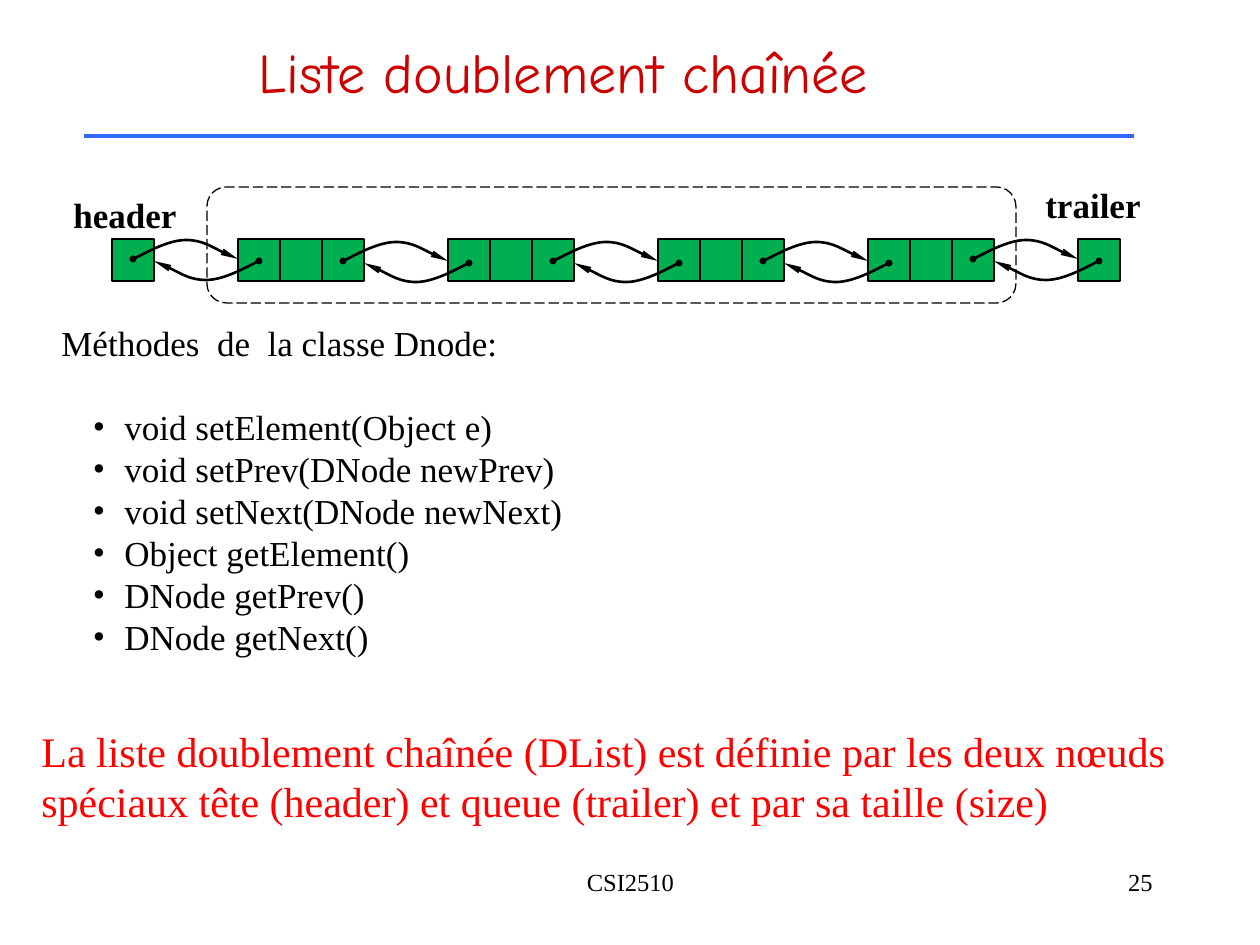
from lxml.etree import SubElement
from pptx import Presentation
from pptx.dml.color import RGBColor
from pptx.enum.dml import MSO_LINE
from pptx.enum.shapes import MSO_CONNECTOR, MSO_SHAPE
from pptx.enum.text import MSO_ANCHOR, MSO_AUTO_SIZE, PP_ALIGN
from pptx.oxml.ns import qn
from pptx.util import Inches, Pt

EMU_PER_PX = 914400 / 126
COLOURS = {
    "ink": "000000",
    "node": "00B050",
    "rule": "3366FF",
    "title": "CC0000",
    "conclusion": "FF0000",
}
SERIF = "Times New Roman"
CELL = 42
CELL_TOP = 239
HEADER_LEFT = 112
NODE_STEP = 210
NODE_COUNT = 4
LINK_CURVE = [(9, -4), (35, -19), (53, -19), (69, -19), (94, -4), (105, 0)]
METHODS = [
    "void setElement(Object e)",
    "void setPrev(DNode newPrev)",
    "void setNext(DNode newNext)",
    "Object getElement()",
    "DNode getPrev()",
    "DNode getNext()",
]


def px(length):
    """Turn pixels into EMU."""
    return round(length * EMU_PER_PX)


def colour(name):
    """Look up a named colour."""
    return RGBColor.from_string(COLOURS[name])


def style_line(line, name, width):
    """Set the colour and width of a line."""
    line.color.rgb = colour(name)
    line.width = Pt(width)


def style_text(paragraph, size, name="ink", font=SERIF, bold=False, align=PP_ALIGN.LEFT):
    """Set the font and alignment of a paragraph."""
    paragraph.alignment = align
    paragraph.font.name = font
    paragraph.font.size = Pt(size)
    paragraph.font.bold = bold
    paragraph.font.color.rgb = colour(name)


def fit_to_text(frame):
    """Keep the text on one line and let its box grow around it."""
    frame.word_wrap = False
    frame.auto_size = MSO_AUTO_SIZE.SHAPE_TO_FIT_TEXT


def add_label(slide, box, text, size, **style):
    """Add a wrapping text box with one paragraph and return its text frame."""
    frame = slide.shapes.add_textbox(*map(px, box)).text_frame
    frame.word_wrap = True
    frame.text = text
    style_text(frame.paragraphs[0], size, **style)
    return frame


def set_title(slide, box, text):
    """Place and format the title placeholder."""
    title = slide.shapes.title
    title.left, title.top, title.width, title.height = map(px, box)
    frame = title.text_frame
    frame.text = text
    fit_to_text(frame)
    frame.vertical_anchor = MSO_ANCHOR.TOP
    style_text(frame.paragraphs[0], 32, "title", "Comic Neue")


def add_rule(slide, left, right, y):
    """Draw the horizontal rule under the title."""
    rule = slide.shapes.add_connector(MSO_CONNECTOR.STRAIGHT, px(left), px(y), px(right), px(y))
    style_line(rule.line, "rule", 2.5)
    SubElement(rule.element.spPr, qn("a:effectLst"))


def add_cells(slide, left, count):
    """Draw a node as a row of square cells."""
    for column in range(count):
        cell = slide.shapes.add_shape(
            MSO_SHAPE.RECTANGLE, px(left + column * CELL), px(CELL_TOP), px(CELL), px(CELL)
        )
        cell.shadow.inherit = False
        cell.fill.solid()
        cell.fill.fore_color.rgb = colour("node")
        style_line(cell.line, "ink", 1.5)


def add_link(slide, x, y, direction):
    """Draw a curved pointer; direction 1 goes to the next node, -1 to the previous."""
    builder = slide.shapes.build_freeform(x, y, scale=EMU_PER_PX)
    builder.add_line_segments(
        [(x + direction * dx, y + direction * dy) for dx, dy in LINK_CURVE], close=False
    )
    link = builder.convert_to_shape()
    link.shadow.inherit = False
    link.fill.background()
    style_line(link.line, "ink", 1.5)
    outline = link.element.spPr.find(qn("a:ln"))
    SubElement(outline, qn("a:headEnd"), type="oval", w="sm", len="sm")
    SubElement(outline, qn("a:tailEnd"), type="triangle", w="sm", len="lg")
    segments = list(link.element.iter(qn("a:lnTo")))
    for start in range(0, len(segments), 3):
        curve = SubElement(segments[start].getparent(), qn("a:cubicBezTo"))
        for segment in segments[start:start + 3]:
            curve.append(segment[0])
            segment.getparent().remove(segment)


def add_frame(slide, box):
    """Draw the dashed frame around the inner nodes."""
    frame = slide.shapes.add_shape(MSO_SHAPE.ROUNDED_RECTANGLE, *map(px, box))
    frame.shadow.inherit = False
    frame.fill.background()
    style_line(frame.line, "ink", 0.75)
    frame.line.dash_style = MSO_LINE.LONG_DASH


def add_linked_list(slide):
    """Draw the header, the inner nodes, the trailer and their pointers."""
    for index in range(NODE_COUNT):
        add_cells(slide, HEADER_LEFT + 3 * CELL + index * NODE_STEP, 3)
    for end_left in (HEADER_LEFT, HEADER_LEFT + 3 * CELL + NODE_COUNT * NODE_STEP):
        add_cells(slide, end_left, 1)
    for gap in range(NODE_COUNT + 1):
        x = HEADER_LEFT + CELL // 2 + gap * NODE_STEP
        y = 259 if gap in (0, NODE_COUNT) else 261
        add_link(slide, x, y, 1)
        add_link(slide, x + 3 * CELL, y + 2, -1)
    add_frame(slide, (207, 187, 809, 116))


def add_methods(slide, box, heading):
    """Write the heading and the bulleted methods."""
    frame = add_label(slide, box, heading, 20)
    for index, method in enumerate(METHODS):
        item = frame.add_paragraph()
        item.text = method
        item.level = 1
        properties = item._p.get_or_add_pPr()
        properties.set("marL", str(Inches(0.5)))
        properties.set("indent", str(-Inches(0.25)))
        SubElement(properties, qn("a:buFont"), typeface=SERIF)
        SubElement(properties, qn("a:buChar"), char="•")
        if index == 0:
            item.space_before = Pt(24)
        style_text(item, 20)


def main():
    """Build the slide and save it."""
    deck = Presentation()
    deck.slide_width, deck.slide_height = px(1260), px(945)
    slide = deck.slides.add_slide(deck.slide_layouts[5])
    set_title(slide, (246, 31, 636, 81), "Liste doublement chaînée")
    add_rule(slide, 84, 1134, 136)
    add_linked_list(slide)
    for box, name in (((60, 187, 130, 55), "header"), ((1032, 177, 122, 55), "trailer")):
        fit_to_text(add_label(slide, box, name, 20, bold=True, align=PP_ALIGN.CENTER))
    add_methods(slide, (49, 315, 1123, 349), "Méthodes  de  la classe Dnode:")
    add_label(
        slide, (29, 719, 1182, 164),
        "La liste doublement chaînée (DList) est définie par les deux nœuds spéciaux "
        "tête (header) et queue (trailer) et par sa taille (size)",
        24, name="conclusion",
    )
    add_label(slide, (431, 861, 399, 63), "CSI2510", 14, align=PP_ALIGN.CENTER)
    add_label(slide, (903, 861, 262, 63), "25", 14, align=PP_ALIGN.RIGHT)
    deck.save("out.pptx")


if __name__ == "__main__":
    main()
